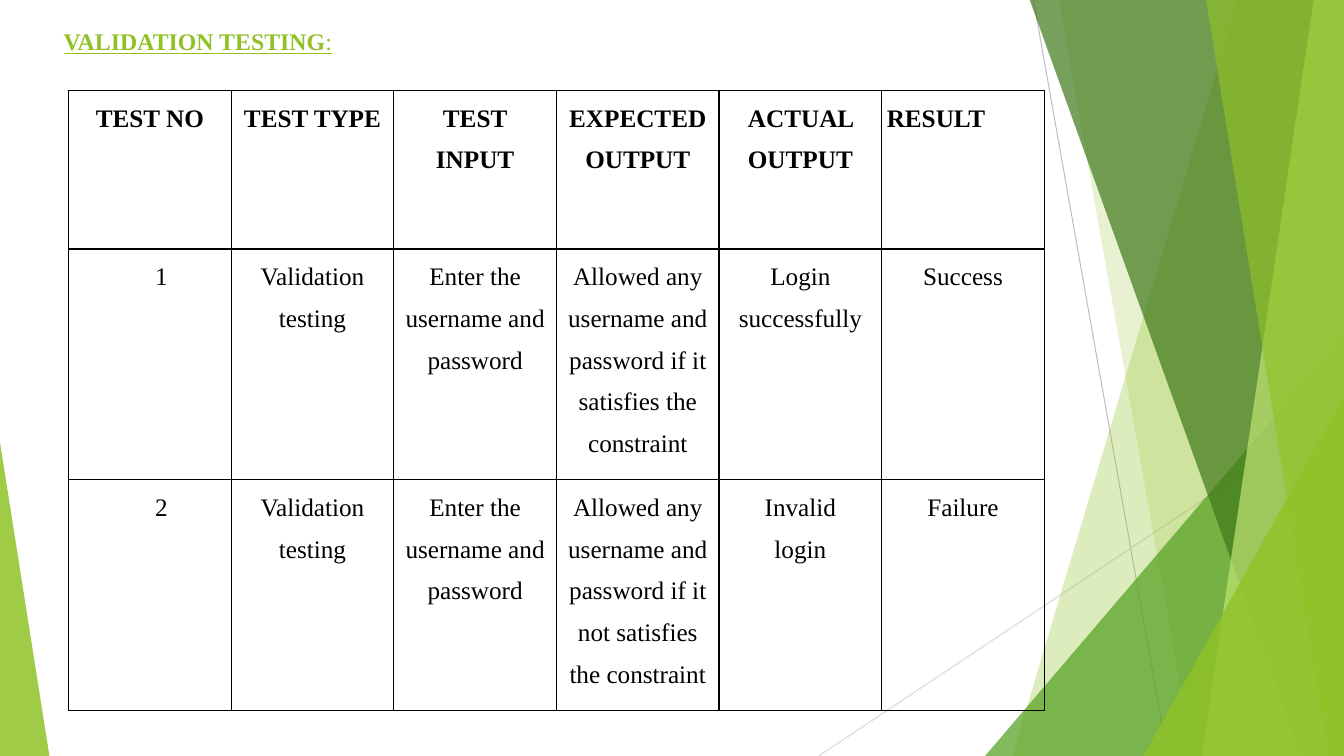
"""Build the validation testing slide with its faceted green backdrop."""
from dataclasses import dataclass

from lxml import etree
from pptx import Presentation
from pptx.dml.color import RGBColor
from pptx.enum.shapes import MSO_CONNECTOR, MSO_SHAPE
from pptx.enum.text import MSO_ANCHOR, MSO_AUTO_SIZE, PP_ALIGN
from pptx.oxml.ns import qn
from pptx.util import Inches, Pt

STRAIGHT = MSO_CONNECTOR.STRAIGHT
TRIANGLE = MSO_SHAPE.ISOSCELES_TRIANGLE
LEFT, CENTER = PP_ALIGN.LEFT, PP_ALIGN.CENTER
MIDDLE = MSO_ANCHOR.MIDDLE
NO_AUTOFIT = MSO_AUTO_SIZE.NONE

FONT = "Times New Roman"
WIDTH, HEIGHT = 13.33, 7.5
BAND_TOP = -0.01
COLORS = {
    "green": "90C226",
    "leaf": "54A021",
    "forest": "3F7819",
    "lime": "C0E474",
    "gray": "BFBFBF",
    "light_gray": "D9D9D9",
    "black": "000000",
}


@dataclass(frozen=True)
class Ray:
    """A thin line between two points."""
    x1: float
    y1: float
    x2: float
    y2: float
    color: str


@dataclass(frozen=True)
class Band:
    """A full-height panel reaching the right edge of the slide."""
    top_x: float
    bottom_x: float
    color: str
    opacity: int


@dataclass(frozen=True)
class Wedge:
    """A triangle standing on the bottom edge of the slide."""
    left: float
    top: float
    width: float
    apex: float
    color: str
    opacity: int


@dataclass(frozen=True)
class CellText:
    """The text of one table cell and its layout."""
    text: str
    align: PP_ALIGN = CENTER
    left: float = 0.05


RAYS = [
    Ray(10.25, 0, 11.58, HEIGHT, "gray"),
    Ray(WIDTH, 4.03, 8.12, HEIGHT, "light_gray"),
]
PANELS = [
    Band(12.28, 10.04, "green", 30),
    Band(10.5, 11.83, "green", 20),
    Wedge(9.77, 3.33, 3.56, 1, "leaf", 72),
    Band(10.21, 12.91, "forest", 70),
    Band(13.03, 11.92, "lime", 70),
    Band(11.96, 13.18, "green", 65),
    Wedge(11.34, 3.93, 1.99, 1, "green", 80),
    Wedge(0, 4.39, 0.49, 0, "green", 85),
]
ROW_HEIGHTS = [1.57, 2.29, 2.29]
ROWS = [
    [
        CellText("TEST NO"),
        CellText("TEST TYPE"),
        CellText("TEST\nINPUT"),
        CellText("EXPECTED OUTPUT"),
        CellText("ACTUAL OUTPUT"),
        CellText("RESULT", LEFT),
    ],
    [
        CellText("1", LEFT, 0.86),
        CellText("Validation\ntesting"),
        CellText("Enter the username and password"),
        CellText("Allowed any username and password if it satisfies the constraint"),
        CellText("Login successfully"),
        CellText("Success"),
    ],
    [
        CellText("2", LEFT, 0.86),
        CellText("Validation testing"),
        CellText("Enter the username and password"),
        CellText("Allowed any username and password if it not satisfies the constraint"),
        CellText("Invalid\nlogin"),
        CellText("Failure"),
    ],
]


def rgb(name: str) -> RGBColor:
    """Look up a named color."""
    return RGBColor.from_string(COLORS[name])


def draw_ray(shapes, ray: Ray) -> None:
    """Draw a thin line without a shadow."""
    ends = (Inches(v) for v in (ray.x1, ray.y1, ray.x2, ray.y2))
    line = shapes.add_connector(STRAIGHT, *ends)
    line.line.color.rgb = rgb(ray.color)
    line.line.width = Pt(0.75)
    etree.SubElement(line.element.spPr, qn("a:effectLst"))


def draw_panel(shapes, panel: Band | Wedge) -> None:
    """Draw a translucent band or wedge."""
    if isinstance(panel, Band):
        corners = [(WIDTH, BAND_TOP), (WIDTH, HEIGHT), (panel.bottom_x, HEIGHT)]
        builder = shapes.build_freeform(Inches(panel.top_x), Inches(BAND_TOP))
        builder.add_line_segments([(Inches(x), Inches(y)) for x, y in corners])
        sp = builder.convert_to_shape()
    else:
        box = (panel.left, panel.top, panel.width, HEIGHT - panel.top)
        sp = shapes.add_shape(TRIANGLE, *(Inches(v) for v in box))
        sp.adjustments[0] = panel.apex
    sp.shadow.inherit = False
    sp.line.fill.background()
    sp.fill.solid()
    sp.fill.fore_color.rgb = rgb(panel.color)
    color = sp.element.spPr.find(qn("a:solidFill")).find(qn("a:srgbClr"))
    etree.SubElement(color, qn("a:alpha"), val=str(panel.opacity * 1000))


def fill_title(title) -> None:
    """Place and format the slide title."""
    title.left, title.top = Inches(0.56), Inches(0.23)
    title.width, title.height = Inches(4.77), Inches(0.36)
    tf = title.text_frame
    tf.margin_left = tf.margin_right = Inches(0.07)
    tf.margin_top = tf.margin_bottom = Inches(0.04)
    tf.word_wrap = True
    tf.auto_size = NO_AUTOFIT
    tf.vertical_anchor = MIDDLE
    p = tf.paragraphs[0]
    p.alignment = LEFT
    for text, bold in (("VALIDATION TESTING", True), (":", False)):
        r = p.add_run()
        r.text = text
        r.font.name, r.font.size = FONT, Pt(17)
        r.font.bold, r.font.underline = bold, True
        r.font.color.rgb = rgb("green")


def fill_cell(cell, content: CellText, bold: bool) -> None:
    """Write, format and outline one table cell."""
    props = cell._tc.get_or_add_tcPr()
    for side in ("lnL", "lnR", "lnT", "lnB"):
        border = etree.SubElement(props, qn(f"a:{side}"), w=str(Pt(1)))
        solid = etree.SubElement(border, qn("a:solidFill"))
        etree.SubElement(solid, qn("a:srgbClr"), val=COLORS["black"])
    cell.fill.background()
    cell.margin_left, cell.margin_right = Inches(content.left), Inches(0.05)
    cell.margin_top = cell.margin_bottom = 0
    cell.text_frame.text = content.text
    for p in cell.text_frame.paragraphs:
        p.alignment, p.line_spacing = content.align, 1.5
        for r in p.runs:
            r.font.name, r.font.size, r.font.bold = FONT, Pt(18), bold
            r.font.color.rgb = rgb("black")


def draw_table(shapes) -> None:
    """Draw the grid of test cases."""
    box = (0.68, 0.9, 9.68, sum(ROW_HEIGHTS))
    frame = shapes.add_table(len(ROWS), len(ROWS[0]), *(Inches(v) for v in box))
    table = frame.table
    table.first_row = table.horz_banding = False
    for i, (height, row) in enumerate(zip(ROW_HEIGHTS, ROWS)):
        table.rows[i].height = Inches(height)
        for j, content in enumerate(row):
            fill_cell(table.cell(i, j), content, bold=i == 0)


def main() -> None:
    """Assemble and save the slide."""
    prs = Presentation()
    prs.slide_width, prs.slide_height = Inches(WIDTH), Inches(HEIGHT)
    s = prs.slides.add_slide(prs.slide_layouts[5])
    for ray in RAYS:
        draw_ray(s.shapes, ray)
    for panel in PANELS:
        draw_panel(s.shapes, panel)
    fill_title(s.shapes.title)
    draw_table(s.shapes)
    prs.save("out.pptx")


if __name__ == "__main__":
    main()
